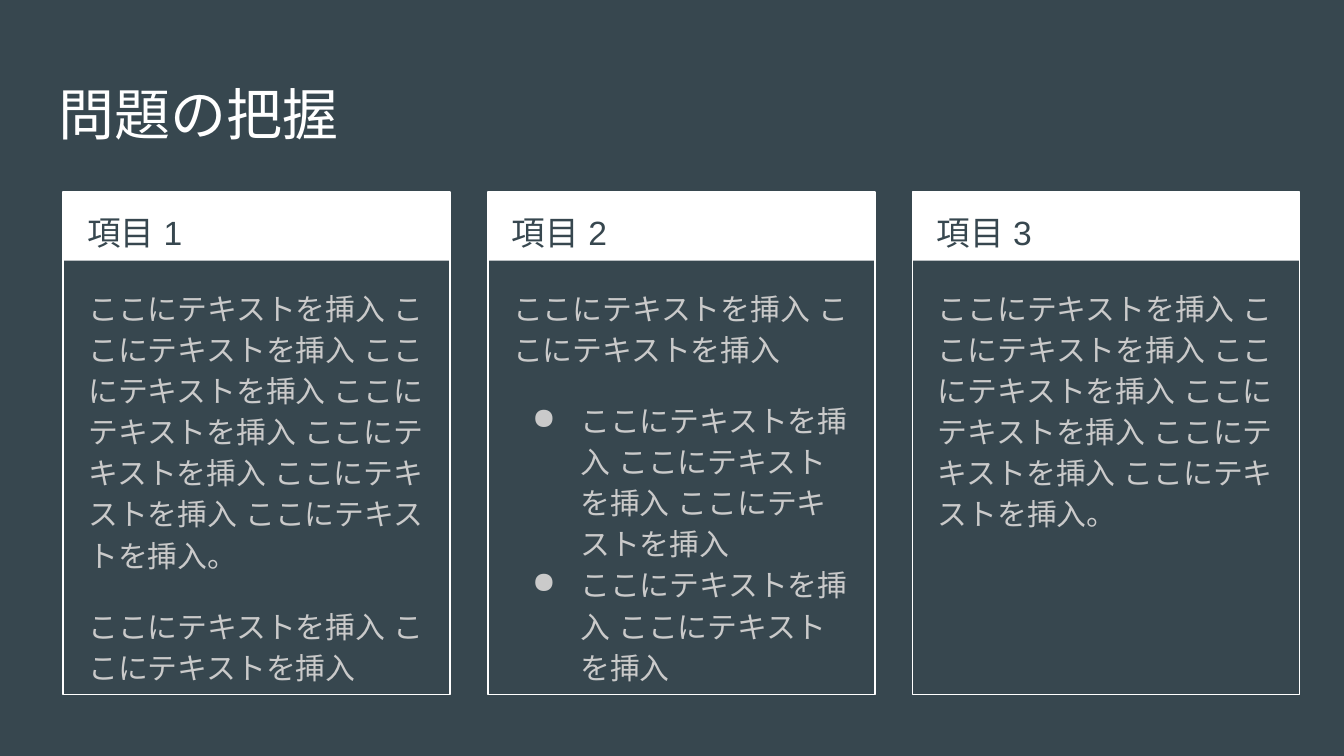
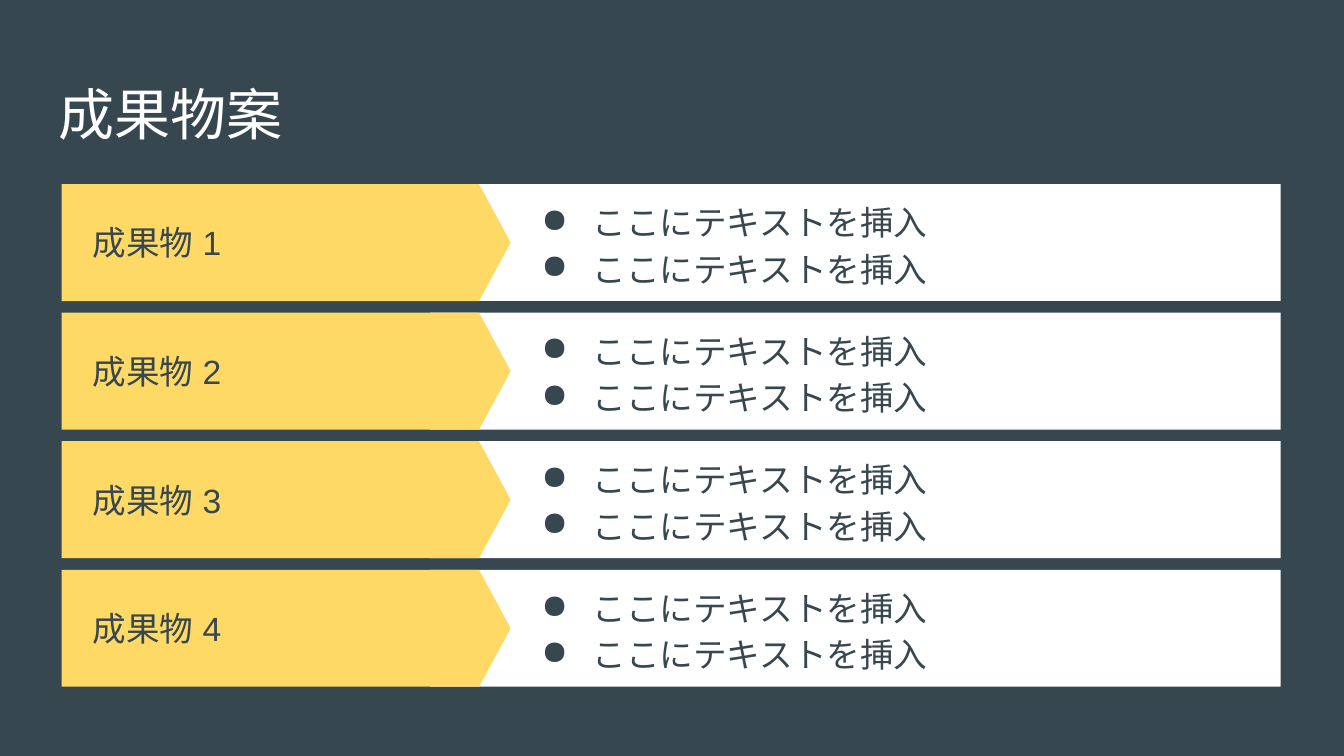
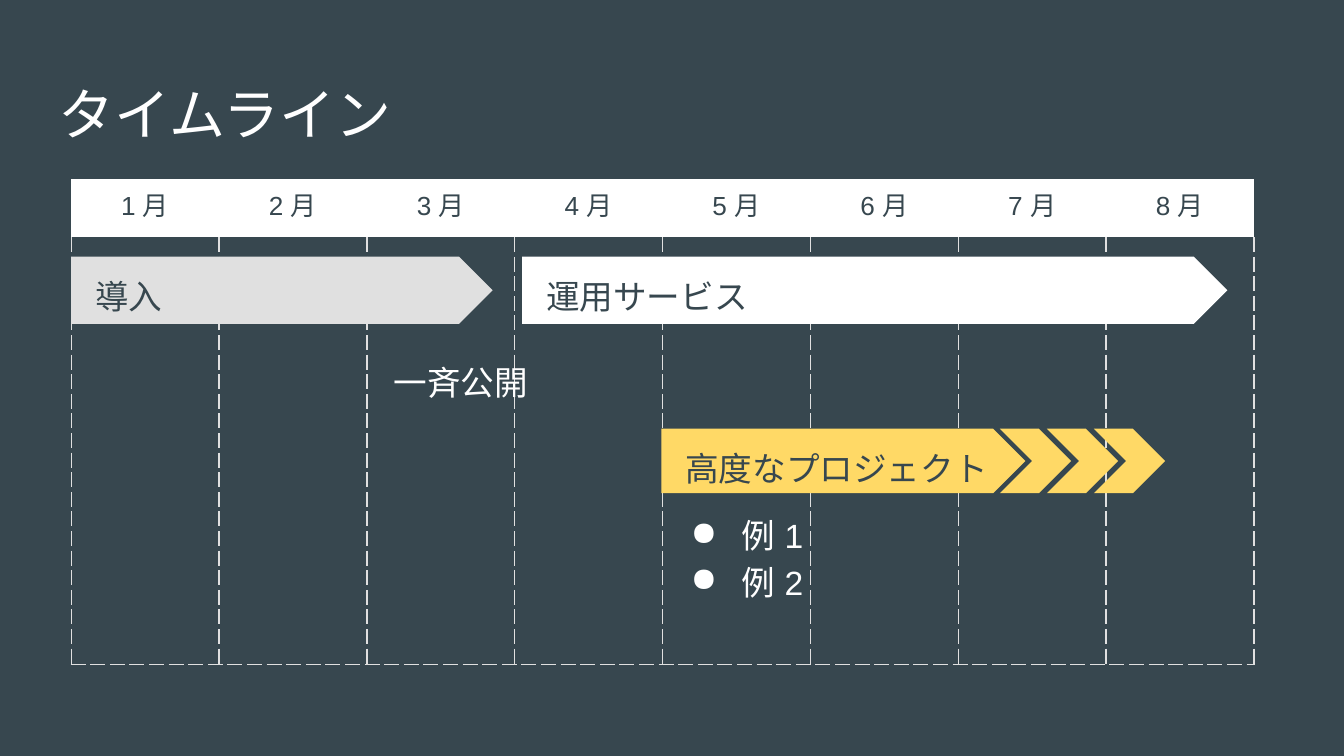
from dataclasses import dataclass
from lxml.etree import SubElement
from pptx import Presentation
from pptx.dml.color import RGBColor
from pptx.enum.shapes import MSO_SHAPE
from pptx.enum.text import MSO_ANCHOR, PP_ALIGN
from pptx.oxml.ns import qn
from pptx.util import Inches, Pt


@dataclass(frozen=True)
class Theme:
    dark: str = "37474F"
    white: str = "FFFFFF"
    gold: str = "FFD966"
    pale: str = "E0E0E0"
    soft: str = "CACACA"
    face: str = "Arial"
    head: str = "Roboto Condensed"
    title: int = 30
    label: int = 18
    body: int = 16
    month: int = 14
    edge: float = 0.75
    lead: float = 1.15


T = Theme()
WIDE = 10
HIGH = WIDE * 9 / 16
PAD = 0.1
PLAIN = "{2D5ABB26-0587-4C30-8999-92F81FD0307C}"

HINT = "ここにテキストを挿入"


def hints(count, end=""):
    return " ".join([HINT] * count) + end


CARDS = [
    ("項目 1", [
        dict(text=hints(7, "。")),
        dict(text=hints(2), above=16, below=16),
    ]),
    ("項目 2", [
        dict(text=hints(2)),
        dict(text=hints(3), above=16, hang=0.36),
        dict(text=hints(2), hang=0.36),
    ]),
    ("項目 3", [dict(text=hints(6, "。"), below=16)]),
]
GOODS = [(f"成果物 {n}", [HINT, HINT]) for n in range(1, 5)]
MONTHS = [f"{n} 月" for n in range(1, 9)]
PHASES = [
    ("導入", 0, 2.85, T.pale),
    ("運用サービス", 3.05, 4.77, T.white),
]
LAUNCH = "一斉公開"
PROJECT = "高度なプロジェクト"
CASES = ["例 1", "例 2"]


def paint(color):
    return RGBColor.from_string(color)


def box(area):
    return [Inches(v) for v in area]


def write(para, text, size, color, face=T.face):
    run = para.add_run()
    run.text = text
    run.font.size = Pt(size)
    run.font.color.rgb = paint(color)
    run.font.name = face
    SubElement(run._r.get_or_add_rPr(), qn("a:ea"), typeface=face)


def bullet(para, color, hang):
    props = para._p.get_or_add_pPr()
    props.set("marL", str(Inches(0.5)))
    props.set("indent", str(-Inches(hang)))
    tint = SubElement(props, qn("a:buClr"))
    SubElement(tint, qn("a:srgbClr"), val=color)
    SubElement(props, qn("a:buChar"), char="●")


def put_text(slide, area, items, size=T.label, color=T.dark, face=T.face,
             lead=T.lead, mid=False):
    frame = slide.shapes.add_textbox(*box(area)).text_frame
    frame.word_wrap = True
    frame.margin_left = frame.margin_right = Inches(PAD)
    frame.margin_top = frame.margin_bottom = Inches(PAD)
    frame.vertical_anchor = MSO_ANCHOR.MIDDLE if mid else MSO_ANCHOR.TOP
    for i, item in enumerate(items):
        para = frame.add_paragraph() if i else frame.paragraphs[0]
        if lead:
            para.line_spacing = lead
        if "above" in item:
            para.space_before = Pt(item["above"])
        if "below" in item:
            para.space_after = Pt(item["below"])
        if "hang" in item:
            bullet(para, color, item["hang"])
        write(para, item["text"], size, color, face)


def put_list(slide, area, texts, **style):
    put_text(slide, area, [dict(text=t, hang=0.38) for t in texts], **style)


def put_shape(shapes, kind, area, fill=None, line=None, point=None):
    shape = shapes.add_shape(kind, *box(area))
    shape.shadow.inherit = False
    if fill:
        shape.fill.solid()
        shape.fill.fore_color.rgb = paint(fill)
    else:
        shape.fill.background()
    if line:
        shape.line.color.rgb = paint(line)
        shape.line.width = Pt(T.edge)
    else:
        shape.line.fill.background()
    if point:
        shape.adjustments[0] = point


def new_slide(deck):
    slide = deck.slides.add_slide(deck.slide_layouts[6])
    slide.background.fill.solid()
    slide.background.fill.fore_color.rgb = paint(T.dark)
    return slide


def put_title(slide, text):
    put_text(slide, (0.34, 0.49, WIDE - 0.68, 0.63), [dict(text=text)],
             T.title, T.white, T.head, lead=None)


def draw_cards(deck):
    slide = new_slide(deck)
    put_title(slide, "問題の把握")
    left, top, wide, step = 0.47, 1.43, 2.88, 3.16
    for i, (name, items) in enumerate(CARDS):
        x = left + i * step
        group = slide.shapes.add_group_shape().shapes
        put_shape(group, MSO_SHAPE.RECTANGLE, (x, top, wide, 0.51), T.white)
        put_shape(group, MSO_SHAPE.RECTANGLE, (x, top, wide, 3.74), line=T.white)
        put_text(slide, (x + 0.08, top, 2.73, 0.5), [dict(text=name)])
        put_text(slide, (x + 0.09, top + 0.59, 2.71, 3.06), items, T.body, T.soft)


def draw_goods(deck):
    slide = new_slide(deck)
    put_title(slide, "成果物案")
    top, last, high = 1.37, 4.24, 0.87
    step = (last - top) / (len(GOODS) - 1)
    for i, (name, notes) in enumerate(GOODS):
        y = top + i * step
        group = slide.shapes.add_group_shape().shapes
        put_shape(group, MSO_SHAPE.RECTANGLE, (3.2, y, 6.33, high), T.white)
        put_shape(group, MSO_SHAPE.PENTAGON, (0.46, y, 3.34, high), T.gold, point=0.27)
        put_text(slide, (0.59, y, 2.65, high), [dict(text=name)], lead=None, mid=True)
        put_list(slide, (3.81, y, 5.59, high), notes, mid=True)


def dash(cell):
    props = cell._tc.get_or_add_tcPr()
    for side in ("lnL", "lnR", "lnB"):
        line = SubElement(props, qn(f"a:{side}"), w=str(Pt(T.edge)))
        fill = SubElement(line, qn("a:solidFill"))
        SubElement(fill, qn("a:srgbClr"), val=T.pale)
        SubElement(line, qn("a:prstDash"), val="dash")


def put_grid(slide, left, top, col):
    count = len(MONTHS)
    rows = (0.4, 3.18)
    area = box((left, top, col * count, sum(rows)))
    table = slide.shapes.add_table(len(rows), count, *area).table
    table.first_row = table.horz_banding = False
    table._tbl.tblPr.find(qn("a:tableStyleId")).text = PLAIN
    for row, high in zip(table.rows, rows):
        row.height = Inches(high)
    for i, name in enumerate(MONTHS):
        table.columns[i].width = Inches(col)
        head, body = table.cell(0, i), table.cell(1, i)
        for cell in (head, body):
            cell.margin_left = cell.margin_right = Inches(PAD)
            cell.margin_top = cell.margin_bottom = Inches(PAD)
        head.fill.solid()
        head.fill.fore_color.rgb = paint(T.white)
        para = head.text_frame.paragraphs[0]
        para.alignment = PP_ALIGN.CENTER
        write(para, name, T.month, T.dark)
        dash(body)
        body.fill.background()


def draw_time(deck):
    slide = new_slide(deck)
    left, col, bar = 0.53, 1.1, 0.5
    put_grid(slide, left, 1.33, col)
    put_title(slide, "タイムライン")
    for name, start, span, color in PHASES:
        x, wide = left + start * col, span * col
        put_shape(slide.shapes, MSO_SHAPE.PENTAGON, (x, 1.91, wide, bar), color, point=0.5)
        put_text(slide, (x + 0.08, 1.91, wide - 0.35, bar), [dict(text=name)])
    put_text(slide, (2.83, 2.55, 2 * col, bar), [dict(text=LAUNCH)], color=T.white)

    x, y, high = 4.92, 3.19, 0.48
    group = slide.shapes.add_group_shape().shapes
    put_shape(group, MSO_SHAPE.PENTAGON, (x, y, 2.71, high), T.gold, point=0.5)
    for i in range(3):
        area = (x + 2.52 + i * 0.35, y, 0.53, high)
        put_shape(group, MSO_SHAPE.CHEVRON, area, T.gold, point=0.5)
    put_text(slide, (x + 0.08, y, 2.81, bar), [dict(text=PROJECT)])
    put_list(slide, (x, y + bar, 3.75, 1.1), CASES, color=T.white)


def main():
    deck = Presentation()
    deck.slide_width, deck.slide_height = Inches(WIDE), Inches(HIGH)
    for draw in (draw_cards, draw_goods, draw_time):
        draw(deck)
    deck.save("out.pptx")


if __name__ == "__main__":
    main()
